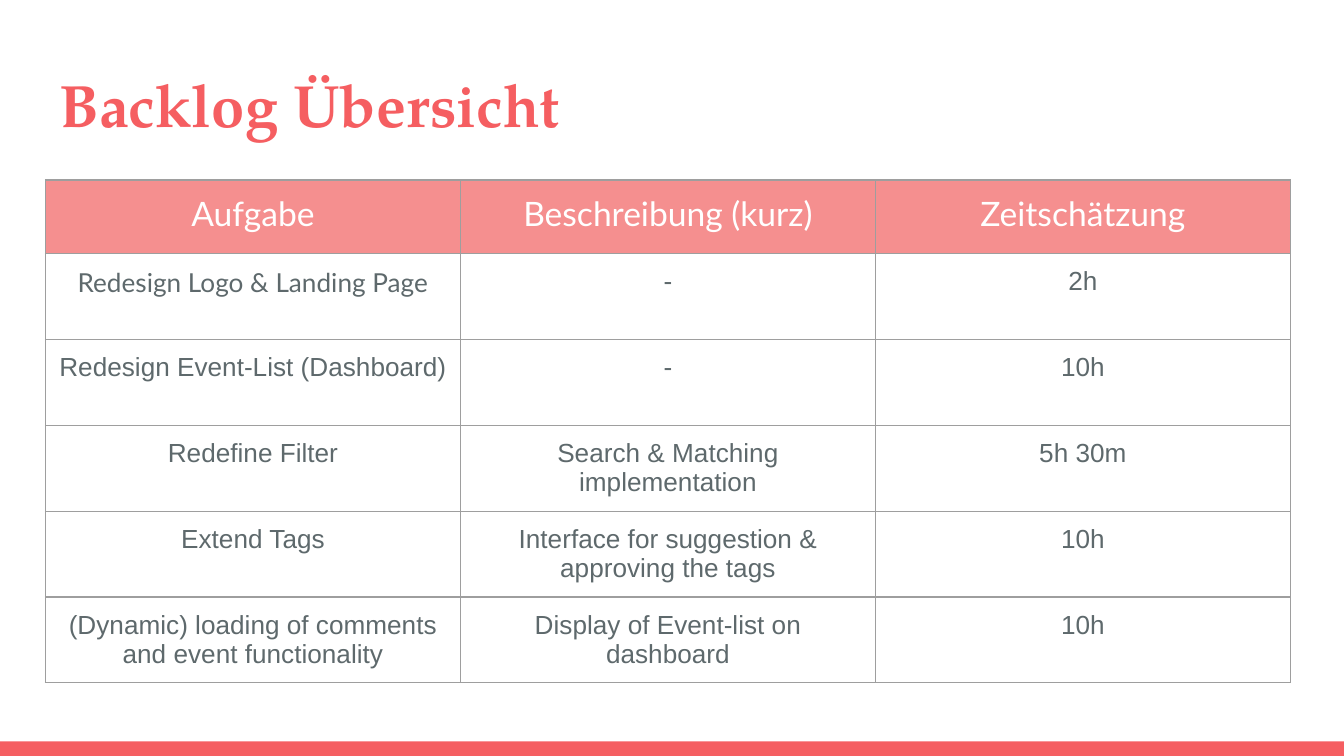
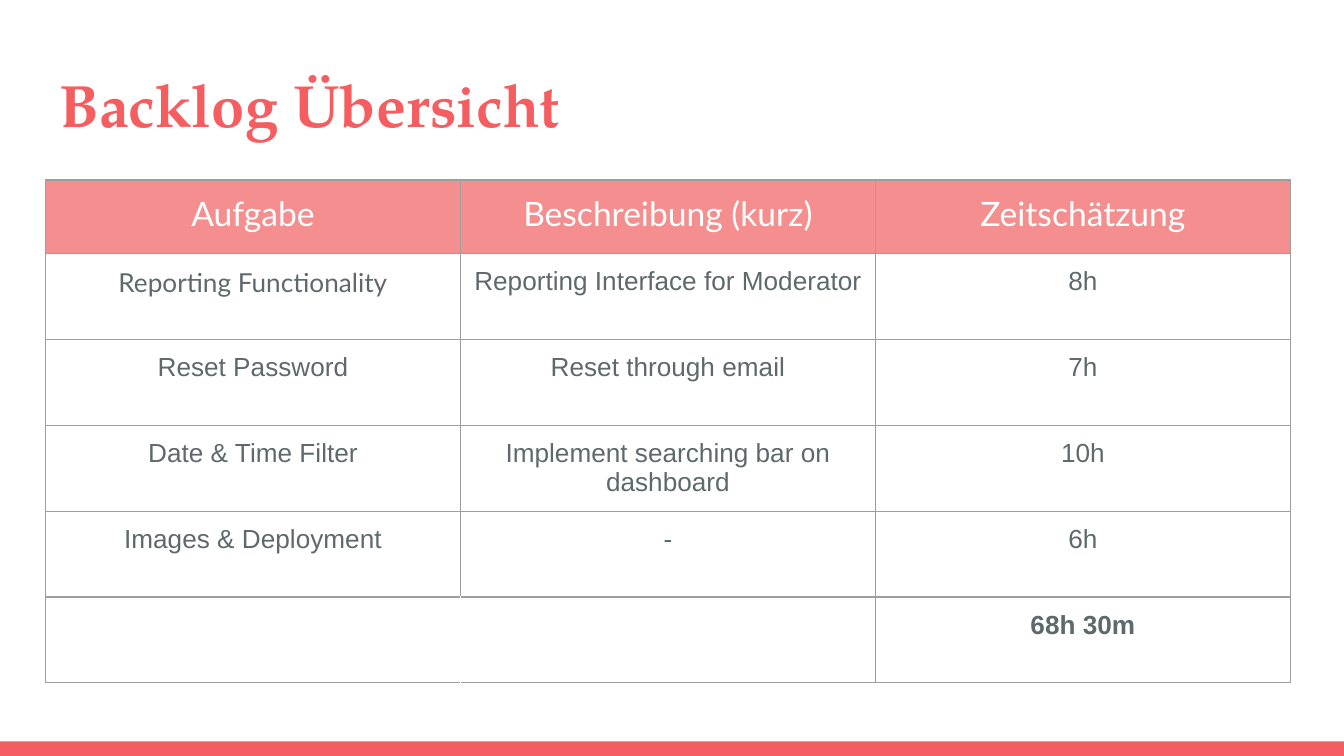
from dataclasses import dataclass

from lxml.etree import SubElement
from pptx import Presentation
from pptx.dml.color import RGBColor
from pptx.enum.shapes import MSO_SHAPE
from pptx.enum.text import MSO_ANCHOR, MSO_AUTO_SIZE, PP_ALIGN
from pptx.oxml.ns import qn
from pptx.slide import Slide
from pptx.table import _Cell
from pptx.text.text import _Paragraph
from pptx.util import Pt

# Shared look
WIDE, HIGH = 720, 405
RED, ROSE, GREY, LINE, WHITE = "F55E61", "F58F8F", "5E696C", "9E9E9E", "FFFFFF"
INSET = 7.2
BAND = 7.8
LEFT, TOP, COL = 24.4, 96.4, 222.3
HEAD_ROW, BODY_ROW = 39.5, 46
HEADS = ("Aufgabe", "Beschreibung (kurz)", "Zeitschätzung")


@dataclass(frozen=True)
class Font:
    name: str
    size: float
    color: str
    bold: bool = False


TITLE = Font("TeX Gyre Pagella", 32, RED, True)
HEAD = Font("Lato", 18, WHITE)
FIRST = Font("Lato", 14, GREY)
BODY = Font("Arial", 14, GREY)
TOTAL = Font("Arial", 14, GREY, True)


@dataclass(frozen=True)
class Task:
    name: str
    about: str
    time: str


@dataclass(frozen=True)
class Page:
    title: str
    tasks: tuple[Task, ...]
    total: str = ""


PAGES = (
    Page("Backlog Übersicht", (
        Task("Redesign Logo & Landing Page", "-", "2h"),
        Task("Redesign Event-List (Dashboard)", "-", "10h"),
        Task("Redefine Filter", "Search & Matching implementation", "5h 30m"),
        Task("Extend Tags", "Interface for suggestion & approving the tags", "10h"),
        Task("(Dynamic) loading of comments and event functionality",
             "Display of Event-list on dashboard", "10h"),
    )),
    Page("Backlog Übersicht", (
        Task("Reporting Functionality", "Reporting Interface for Moderator", "8h"),
        Task("Reset Password", "Reset through email", "7h"),
        Task("Date & Time Filter", "Implement searching bar on dashboard", "10h"),
        Task("Images & Deployment", "-", "6h"),
    ), "68h 30m"),
)


def paint(code: str) -> RGBColor:
    return RGBColor.from_string(code)


def add_run(para: _Paragraph, text: str, font: Font) -> None:
    run = para.add_run()
    run.text = text
    run.font.name = font.name
    run.font.size = Pt(font.size)
    run.font.bold = font.bold
    run.font.color.rgb = paint(font.color)


# Title and bottom band
def add_title(slide: Slide, text: str) -> None:
    box = slide.shapes.title
    box.left, box.top, box.width, box.height = Pt(24.5), Pt(31), Pt(671), Pt(49)
    frame = box.text_frame
    frame.margin_left = frame.margin_right = Pt(INSET)
    frame.margin_top = frame.margin_bottom = Pt(INSET)
    frame.auto_size = MSO_AUTO_SIZE.NONE
    frame.vertical_anchor = MSO_ANCHOR.MIDDLE
    para = frame.paragraphs[0]
    para.alignment = PP_ALIGN.LEFT
    add_run(para, text, TITLE)


def add_band(slide: Slide) -> None:
    band = slide.shapes.add_shape(
        MSO_SHAPE.RECTANGLE, Pt(0), Pt(HIGH - BAND), Pt(WIDE), Pt(BAND))
    band.shadow.inherit = False
    band.fill.solid()
    band.fill.fore_color.rgb = paint(RED)
    band.line.fill.background()


# Table cells
def add_edges(cell: _Cell, white: str) -> None:
    props = cell._tc.get_or_add_tcPr()
    for side in "LRTB":
        line = SubElement(props, qn(f"a:ln{side}"), w=str(Pt(0.75)))
        fill = SubElement(line, qn("a:solidFill"))
        SubElement(fill, qn("a:srgbClr"), val=WHITE if side == white else LINE)


def fill_cell(cell: _Cell, text: str, font: Font, white: str = "") -> None:
    add_edges(cell, white)
    if font is HEAD:
        cell.fill.solid()
        cell.fill.fore_color.rgb = paint(ROSE)
    else:
        cell.fill.background()
    cell.margin_left = cell.margin_right = Pt(INSET)
    cell.margin_top = cell.margin_bottom = Pt(INSET)
    if text:
        para = cell.text_frame.paragraphs[0]
        para.alignment = PP_ALIGN.CENTER
        add_run(para, text, font)


def add_tasks(slide: Slide, page: Page) -> None:
    count = 1 + len(page.tasks) + bool(page.total)
    high = HEAD_ROW + BODY_ROW * (count - 1)
    table = slide.shapes.add_table(
        count, len(HEADS), Pt(LEFT), Pt(TOP), Pt(COL * len(HEADS)), Pt(high)).table
    table.first_row = table.horz_banding = False
    for col in table.columns:
        col.width = Pt(COL)
    for i, row in enumerate(table.rows):
        row.height = Pt(BODY_ROW if i else HEAD_ROW)

    for j, head in enumerate(HEADS):
        fill_cell(table.cell(0, j), head, HEAD)
    for i, task in enumerate(page.tasks, 1):
        for j, text in enumerate((task.name, task.about, task.time)):
            fill_cell(table.cell(i, j), text, FIRST if i == 1 and j == 0 else BODY)
    # Sum row: the edge between its two empty cells is white
    if page.total:
        for j, (text, white) in enumerate((("", "R"), ("", "L"), (page.total, ""))):
            fill_cell(table.cell(count - 1, j), text, TOTAL, white)


def main() -> None:
    deck = Presentation()
    deck.slide_width, deck.slide_height = Pt(WIDE), Pt(HIGH)
    for page in PAGES:
        slide = deck.slides.add_slide(deck.slide_layouts[5])
        add_band(slide)
        add_title(slide, page.title)
        add_tasks(slide, page)
    deck.save("out.pptx")


if __name__ == "__main__":
    main()
